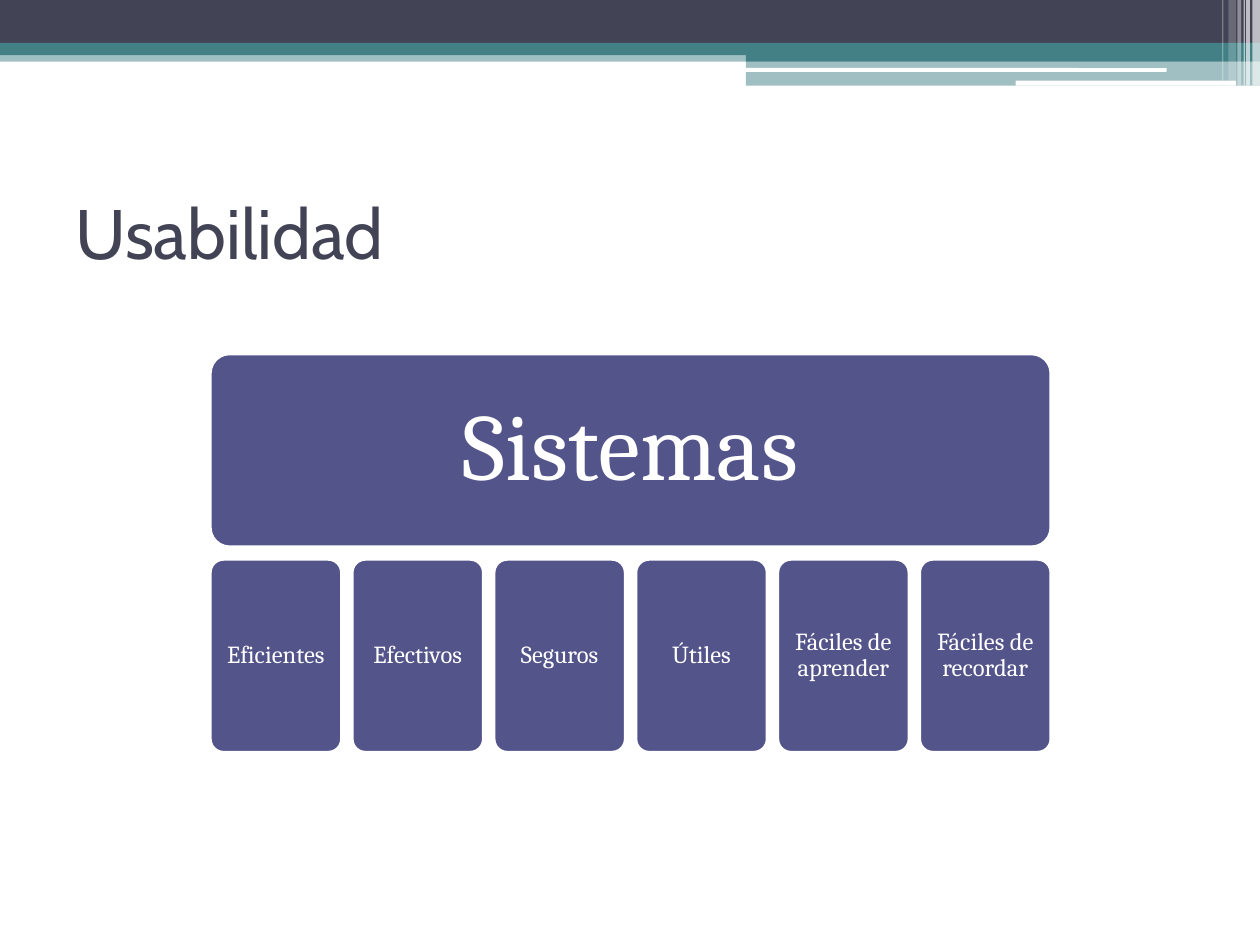
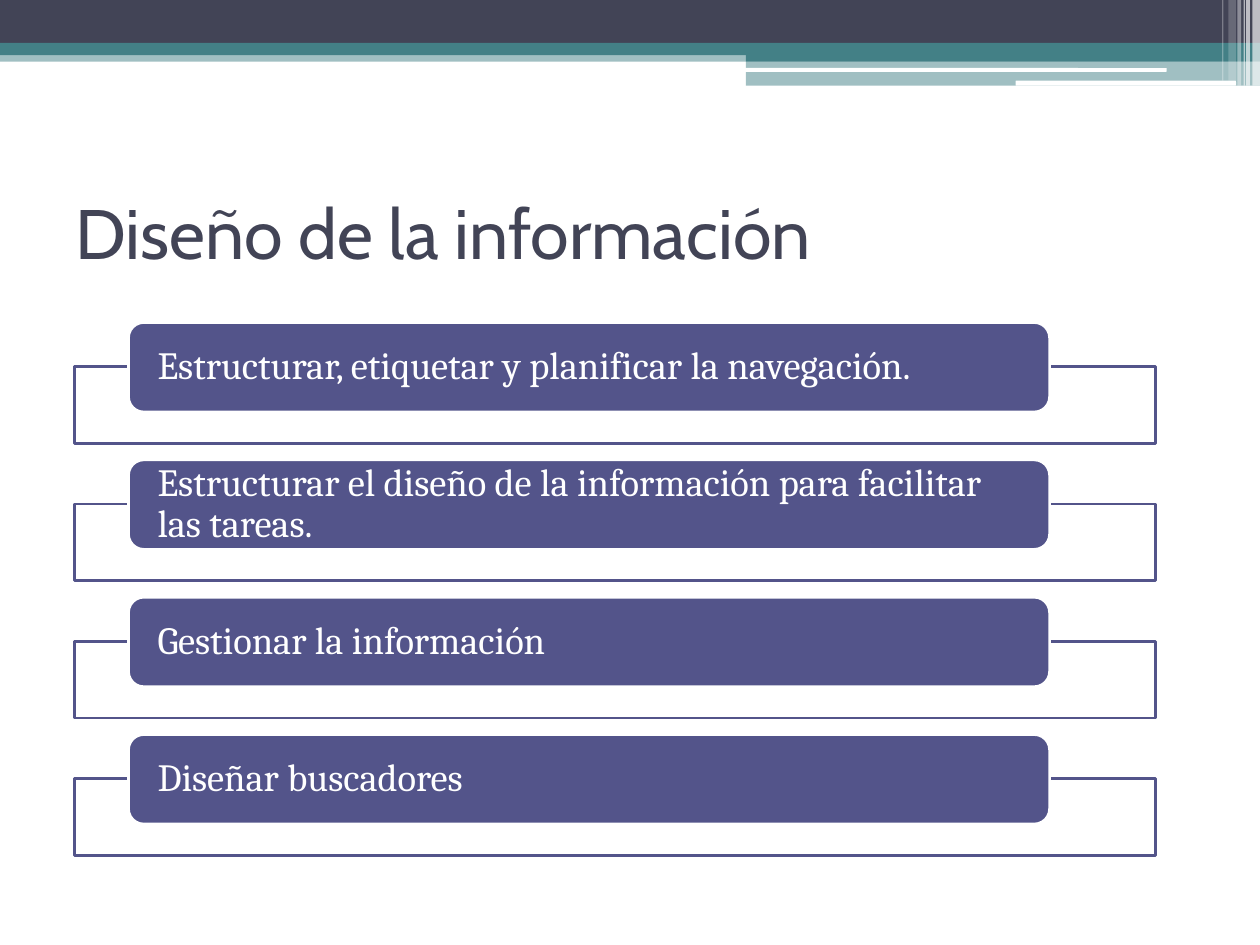
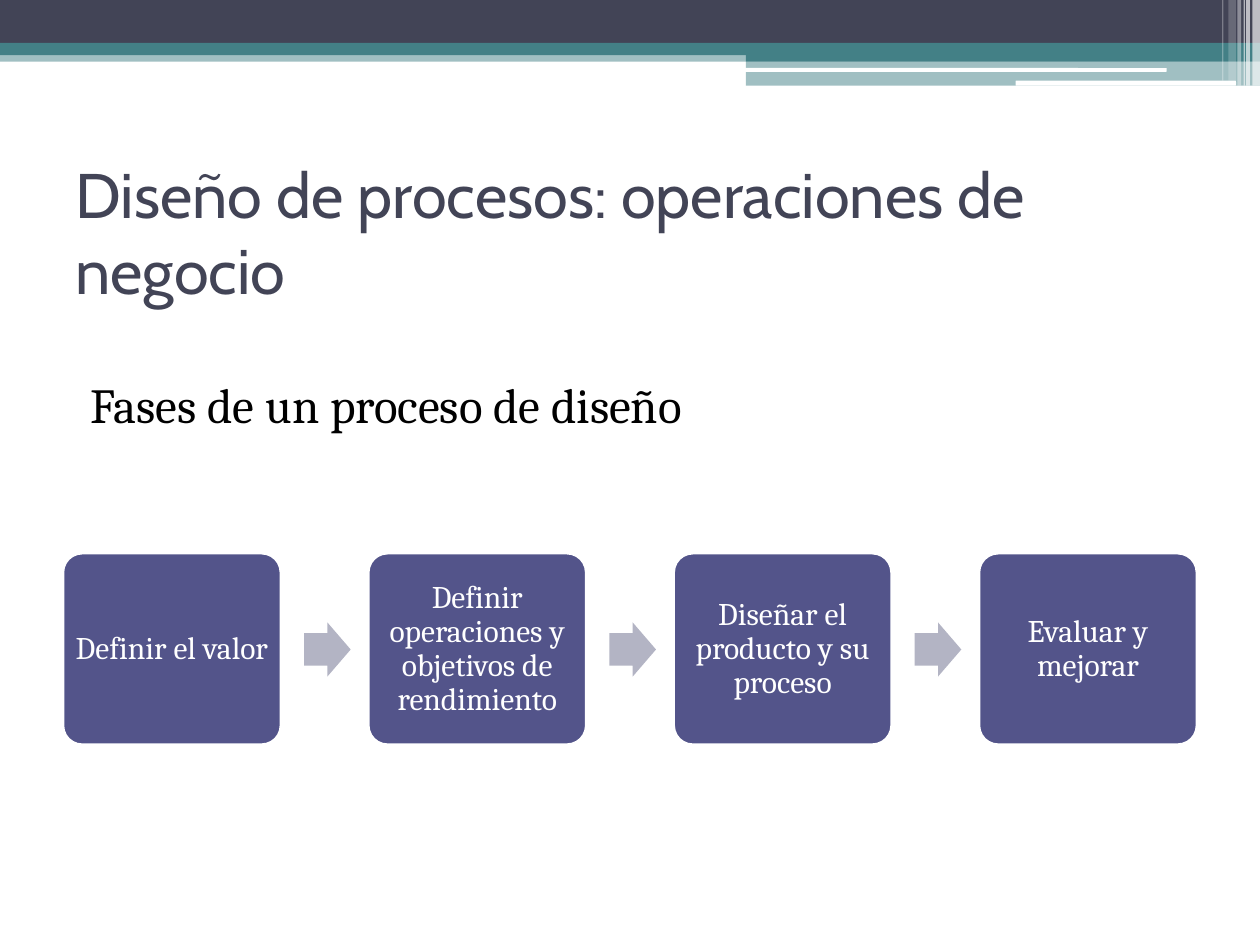
from typing import NamedTuple

from lxml.etree import SubElement
from pptx import Presentation
from pptx.dml.color import RGBColor
from pptx.enum.shapes import MSO_SHAPE
from pptx.enum.text import MSO_ANCHOR, PP_ALIGN
from pptx.oxml.ns import qn
from pptx.util import Inches, Pt

COLORS = {
    "ink": "424456",
    "teal": "438086",
    "violet": "53548A",
    "arrow": "B3B4C4",
    "white": "FFFFFF",
    "black": "000000",
}
TITLE_FONT, BODY_FONT = "Cabin", "Cambria"
CORNER_INSET = 0.29  # share of the corner radius that a rounded box adds to its margins


class Box(NamedTuple):
    left: float
    top: float
    width: float
    height: float


class Band(NamedTuple):
    box: Box
    color: str
    opacity: int = 100
    rounded: bool = False


class TextStyle(NamedTuple):
    size: float
    color: str = "white"
    font: str = BODY_FONT
    align: PP_ALIGN = PP_ALIGN.LEFT
    anchor: MSO_ANCHOR = MSO_ANCHOR.MIDDLE
    line_spacing: float = 1.0
    margin_x: float = 0.1
    margin_y: float = 0.05


BANDS = [
    Band(Box(0, 0.44, 10, 0.05), "teal", 50),
    Band(Box(0, 0, 10, 0.34), "ink"),
    Band(Box(0, 0.34, 10, 0.1), "teal"),
    Band(Box(5.92, 0.39, 4.08, 0.1), "teal"),
    Band(Box(5.92, 0.49, 4.08, 0.19), "teal", 50),
    Band(Box(5.91, 0.54, 3.35, 0.03), "white", rounded=True),
    Band(Box(8.06, 0.64, 1.75, 0.04), "white", rounded=True),
    Band(Box(9.94, 0, 0.06, 0.68), "white", 65),
    Band(Box(9.89, 0, 0.03, 0.68), "white", 65),
    Band(Box(9.87, 0, 0.01, 0.68), "white", 60),
    Band(Box(9.82, 0, 0.03, 0.68), "white", 40),
    Band(Box(9.75, 0, 0.06, 0.64), "white", 20),
    Band(Box(9.7, 0, 0.01, 0.64), "white", 30),
]


def rgb(name: str) -> RGBColor:
    return RGBColor.from_string(COLORS[name])


def place(box: Box) -> list:
    return [Inches(v) for v in box]


def spread(left: float, width: float, item: float, count: int) -> list[float]:
    """Left edges of equal items that fill the width with equal gaps."""
    pitch = (width - item) / (count - 1)
    return [left + i * pitch for i in range(count)]


def add_filled(s, kind: MSO_SHAPE, box: Box, fill: str, opacity: int = 100,
               line: str | None = None):
    sp = s.shapes.add_shape(kind, *place(box))
    sp.shadow.inherit = False
    sp.fill.solid()
    sp.fill.fore_color.rgb = rgb(fill)
    if opacity < 100:
        color = sp.fill._xPr.find(f"{qn('a:solidFill')}/{qn('a:srgbClr')}")
        SubElement(color, qn("a:alpha"), val=str(opacity * 1000))
    if line:
        sp.line.color.rgb = rgb(line)
        sp.line.width = Pt(1.5)
    else:
        sp.line.fill.background()
    return sp


def write(sp, text: str, style: TextStyle) -> None:
    tf = sp.text_frame
    frame_format = {
        "word_wrap": True,
        "vertical_anchor": style.anchor,
        "margin_left": Inches(style.margin_x),
        "margin_right": Inches(style.margin_x),
        "margin_top": Inches(style.margin_y),
        "margin_bottom": Inches(style.margin_y),
    }
    p = tf.paragraphs[0]
    r = p.add_run()
    r.text = text
    r.font.color.rgb = rgb(style.color)
    formats = [
        (tf, frame_format),
        (p, {"alignment": style.align, "line_spacing": style.line_spacing}),
        (r.font, {"name": style.font, "size": Pt(style.size)}),
    ]
    for target, values in formats:
        for name, value in values.items():
            setattr(target, name, value)


def add_text(s, box: Box, text: str, style: TextStyle) -> None:
    write(s.shapes.add_textbox(*place(box)), text, style)


def add_card(s, box: Box, text: str, style: TextStyle, corner: float = 0.1) -> None:
    """Violet rounded box whose margins are measured from its outer edge."""
    sp = add_filled(s, MSO_SHAPE.ROUNDED_RECTANGLE, box, "violet", line="white")
    sp.adjustments[0] = corner
    inset = CORNER_INSET * corner * min(box.width, box.height)
    write(sp, text, style._replace(margin_x=max(style.margin_x - inset, 0),
                                   margin_y=max(style.margin_y - inset, 0)))


def card_style(size: float, margin: float) -> TextStyle:
    return TextStyle(size, align=PP_ALIGN.CENTER, line_spacing=0.9,
                     margin_x=margin, margin_y=margin)


def add_slide(prs, title: str, title_size: float = 40):
    s = prs.slides.add_slide(prs.slide_layouts[6])
    for band in BANDS:
        kind = MSO_SHAPE.ROUNDED_RECTANGLE if band.rounded else MSO_SHAPE.RECTANGLE
        add_filled(s, kind, band.box, band.color, band.opacity)
    add_text(s, Box(0.5, 1.25, 9, 1.17), title, TextStyle(title_size, "ink", TITLE_FONT))
    return s


def build_usability(prs) -> None:
    s = add_slide(prs, "Usabilidad")
    left, width, height, tile = 1.67, 6.67, 1.53, 1.04
    add_card(s, Box(left, 2.81, width, height), "Sistemas", card_style(54, 0.23))
    qualities = ["Eficientes", "Efectivos", "Seguros", "Útiles",
                 "Fáciles de aprender", "Fáciles de recordar"]
    for x, quality in zip(spread(left, width, tile, len(qualities)), qualities):
        add_card(s, Box(x, 4.44, tile, height), quality, card_style(14, 0.06))


def build_information(prs) -> None:
    s = add_slide(prs, "Diseño de la información")
    goals = [
        "Estructurar, etiquetar y planificar la navegación.",
        "Estructurar el diseño de la información para facilitar las tareas.",
        "Gestionar la información",
        "Diseñar buscadores",
    ]
    style = TextStyle(22, line_spacing=0.9, margin_x=0.23, margin_y=0)
    for i, goal in enumerate(goals):
        top = 2.56 + i * 1.09
        add_filled(s, MSO_SHAPE.RECTANGLE, Box(0.59, top + 0.35, 8.58, 0.61),
                   "white", 90, line="violet")
        add_card(s, Box(1.02, top, 7.31, 0.71), goal, style, corner=0.17)


def build_process(prs) -> None:
    s = add_slide(prs, "Diseño de procesos: operaciones de negocio", 36)
    add_text(s, Box(0.62, 2.92, 8.88, 0.6), "Fases de un proceso de diseño",
             TextStyle(28, "black", anchor=MSO_ANCHOR.TOP))
    phases = ["Definir el valor", "Definir operaciones y objetivos de rendimiento",
              "Diseñar el producto y su proceso", "Evaluar y mejorar"]
    tile = 1.73
    for i, x in enumerate(spread(0.5, 9, tile, len(phases))):
        if i:
            sp = add_filled(s, MSO_SHAPE.RIGHT_ARROW, Box(x - 0.51, 4.94, 0.37, 0.43), "arrow")
            sp.adjustments[0] = 0.6
        add_card(s, Box(x, 4.39, tile, 1.52), phases[i], card_style(18, 0.07))


def main() -> None:
    prs = Presentation()
    prs.slide_width, prs.slide_height = Inches(10), Inches(7.5)
    build_usability(prs)
    build_information(prs)
    build_process(prs)
    prs.save("out.pptx")


if __name__ == "__main__":
    main()
